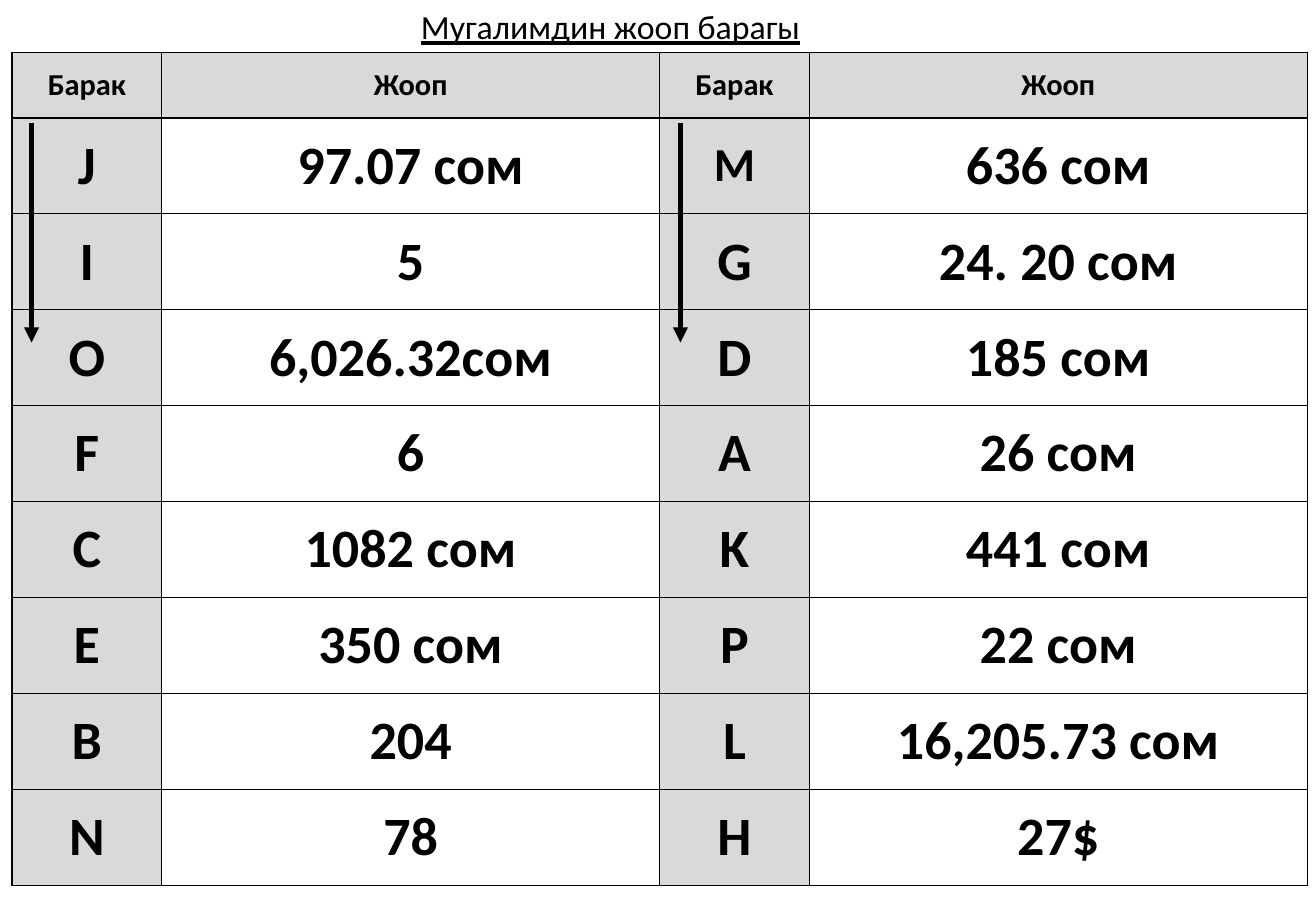
from dataclasses import dataclass

from lxml.etree import SubElement
from pptx import Presentation
from pptx.dml.color import RGBColor
from pptx.enum.shapes import MSO_CONNECTOR as Connector
from pptx.enum.text import MSO_ANCHOR as Anchor, MSO_AUTO_SIZE as AutoSize, PP_ALIGN as Align
from pptx.oxml.ns import qn
from pptx.slide import Slide
from pptx.table import _Cell as Cell
from pptx.text.text import _Paragraph as Paragraph
from pptx.util import Inches, Pt


@dataclass(frozen=True)
class Theme:
    font: str = "Calibri"
    ink: str = "000000"
    shade: str = "D9D9D9"
    paper: str = "FFFFFF"
    title_size: int = 20
    header_size: int = 18
    answer_size: int = 32
    small_letter_size: int = 28
    border_width: int = 1
    arrow_width: int = 3


@dataclass(frozen=True)
class Answer:
    sheet: str
    value: str
    sheet_size: int


@dataclass(frozen=True)
class ReadingArrow:
    x: float
    top: float = 1.01
    bottom: float = 2.82


THEME = Theme()
HEADERS = ("Барак", "Жооп")
COLUMN_WIDTHS = (1.23, 4.1)
HEADER_HEIGHT, ANSWER_HEIGHT = 0.54, 0.79
TABLE_LEFT, TABLE_TOP = 0.1, 0.43

LEFT_ANSWERS = [
    Answer(sheet, value, THEME.answer_size)
    for sheet, value in (
        ("J", "97.07 сом"), ("I", "5"), ("O", "6,026.32сом"), ("F", "6"),
        ("C", "1082 сом"), ("E", "350 сом"), ("B", "204"), ("N", "78"),
    )
]
RIGHT_ANSWERS = [Answer("M", "636 сом", THEME.small_letter_size)] + [
    Answer(sheet, value, THEME.answer_size)
    for sheet, value in (
        ("G", "24. 20 сом"), ("D", "185 сом"), ("A", "26 сом"), ("K", "441 сом"),
        ("P", "22 сом"), ("L", "16,205.73 сом"), ("H", "27$"),
    )
]
ARROWS = (ReadingArrow(0.26), ReadingArrow(5.6))


def write(paragraph: Paragraph, text: str, size: int, bold: bool = False, underline: bool = False) -> None:
    paragraph.alignment = Align.CENTER
    run = paragraph.add_run()
    run.text = text
    run.font.name = THEME.font
    run.font.size = Pt(size)
    run.font.bold = bold
    run.font.underline = underline
    run.font.color.rgb = RGBColor.from_string(THEME.ink)


def fill_cell(cell: Cell, text: str, size: int, fill: str) -> None:
    properties = cell._tc.get_or_add_tcPr()
    for side in ("a:lnL", "a:lnR", "a:lnT", "a:lnB"):
        border = SubElement(properties, qn(side), w=str(Pt(THEME.border_width)))
        solid = SubElement(border, qn("a:solidFill"))
        SubElement(solid, qn("a:srgbClr"), val=THEME.ink)
    cell.fill.solid()
    cell.fill.fore_color.rgb = RGBColor.from_string(fill)
    cell.vertical_anchor = Anchor.MIDDLE
    write(cell.text_frame.paragraphs[0], text, size, bold=True)


def add_answers(slide: Slide) -> None:
    groups = (LEFT_ANSWERS, RIGHT_ANSWERS)
    widths = COLUMN_WIDTHS * len(groups)
    heights = [HEADER_HEIGHT] + [ANSWER_HEIGHT] * len(LEFT_ANSWERS)
    table = slide.shapes.add_table(
        len(heights), len(widths), Inches(TABLE_LEFT), Inches(TABLE_TOP),
        Inches(sum(widths)), Inches(sum(heights)),
    ).table
    for column, width in zip(table.columns, widths):
        column.width = Inches(width)
    for row, height in zip(table.rows, heights):
        row.height = Inches(height)
    for group, answers in enumerate(groups):
        first = group * len(HEADERS)
        for offset, header in enumerate(HEADERS):
            fill_cell(table.cell(0, first + offset), header, THEME.header_size, THEME.shade)
        for row, answer in enumerate(answers, start=1):
            fill_cell(table.cell(row, first), answer.sheet, answer.sheet_size, THEME.shade)
            fill_cell(table.cell(row, first + 1), answer.value, THEME.answer_size, THEME.paper)


def add_title(slide: Slide) -> None:
    title = slide.shapes.add_textbox(Inches(3.35), Inches(0), Inches(3.35), Inches(0.44)).text_frame
    title.word_wrap = False
    title.auto_size = AutoSize.SHAPE_TO_FIT_TEXT
    write(title.paragraphs[0], "Мугалимдин жооп барагы", THEME.title_size, underline=True)


def add_arrow(slide: Slide, arrow: ReadingArrow) -> None:
    connector = slide.shapes.add_connector(
        Connector.STRAIGHT, Inches(arrow.x), Inches(arrow.top), Inches(arrow.x), Inches(arrow.bottom)
    )
    connector.line.color.rgb = RGBColor.from_string(THEME.ink)
    connector.line.width = Pt(THEME.arrow_width)
    SubElement(connector.line._get_or_add_ln(), qn("a:tailEnd"), type="triangle")
    SubElement(connector._element.spPr, qn("a:effectLst"))


def main() -> None:
    presentation = Presentation()
    presentation.slide_width = Inches(10.83)
    presentation.slide_height = Inches(7.5)
    slide = presentation.slides.add_slide(presentation.slide_layouts[6])
    add_answers(slide)
    add_title(slide)
    for arrow in ARROWS:
        add_arrow(slide, arrow)
    presentation.save("out.pptx")


if __name__ == "__main__":
    main()
